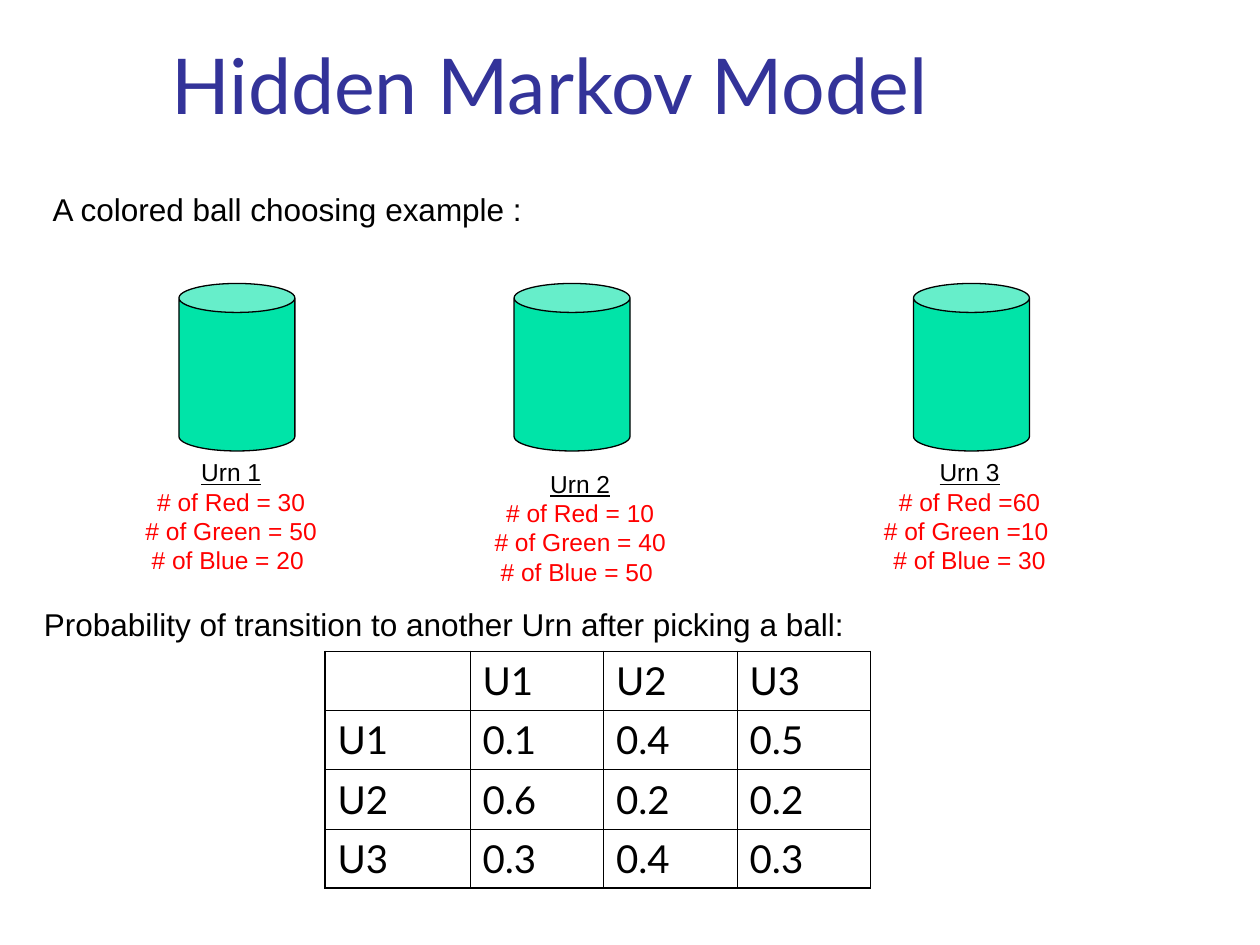
from lxml import etree
from pptx import Presentation
from pptx.dml.color import RGBColor
from pptx.enum.shapes import MSO_SHAPE
from pptx.enum.text import MSO_ANCHOR, MSO_AUTO_SIZE, PP_ALIGN
from pptx.oxml.ns import qn
from pptx.util import Inches, Pt

CAN = MSO_SHAPE.CAN
LEFT, MID = PP_ALIGN.LEFT, PP_ALIGN.CENTER
BOTTOM = MSO_ANCHOR.BOTTOM
NO_FIT, GROW = MSO_AUTO_SIZE.NONE, MSO_AUTO_SIZE.SHAPE_TO_FIT_TEXT

BLACK = RGBColor(0, 0, 0)
RED = RGBColor(255, 0, 0)
GREEN = RGBColor(0, 0xE4, 0xA8)
NAVY = RGBColor(0x33, 0x33, 0x99)

HEAD = {"name": "Lato", "size": Pt(44)}
BODY = {"name": "Arial", "size": Pt(18)}
NOTE = {"name": "Arial", "size": Pt(14)}
GRID = {"name": "Lato", "size": Pt(22)}


def apply(item, values):
    """Set each named value on the item."""
    for name, value in values.items():
        setattr(item, name, value)


def box(*sizes):
    """Turn inch numbers into lengths."""
    return [Inches(size) for size in sizes]


class Deck:
    """Holds the style and the current slide."""

    def __init__(self):
        """Start a deck with one titled slide."""
        self.show = Presentation()
        self.show.slide_width, self.show.slide_height = box(10, 7.5)
        self.slide = self.show.slides.add_slide(self.show.slide_layouts[5])
        self.thin, self.thick = Pt(0.45), Pt(1.08)

    def put(self, para, text, style, color=BLACK, align=LEFT):
        """Put one styled run into a paragraph."""
        para.alignment = align
        run = para.add_run()
        run.text = text
        apply(run.font, style)
        run.font.color.rgb = color

    def title(self, text, place):
        """Fill and move the title placeholder."""
        head = self.slide.shapes.title
        sides = ("left", "top", "width", "height")
        apply(head, dict(zip(sides, box(*place))))
        apply(head.text_frame, {"vertical_anchor": BOTTOM, "auto_size": NO_FIT})
        self.put(head.text_frame.paragraphs[0], text, HEAD, NAVY)

    def text(self, place):
        """Add an unwrapped text box and return its frame."""
        frame = self.slide.shapes.add_textbox(*box(*place)).text_frame
        apply(frame, {"word_wrap": False, "auto_size": GROW})
        return frame

    def line(self, text, place):
        """Add one line of body text."""
        self.put(self.text(place).paragraphs[0], text, BODY)

    def urn(self, left):
        """Draw one urn."""
        can = self.slide.shapes.add_shape(CAN, *box(left, 2.25, 0.92, 1.33))
        can.shadow.inherit = False
        can.fill.solid()
        can.fill.fore_color.rgb = GREEN
        can.line.color.rgb = BLACK
        can.line.width = Pt(0.74)

    def label(self, name, counts, left, top):
        """Set an urn's name above its ball counts."""
        frame = self.text((left, top, 1.61, 1.04))
        self.put(frame.paragraphs[0], name,
                 NOTE | {"underline": True}, align=MID)
        for count in counts:
            self.put(frame.add_paragraph(), count, NOTE, RED, MID)

    def edge(self, cell, sides):
        """Draw the borders of a cell, thick on the outer sides."""
        props = cell._tc.get_or_add_tcPr()
        for spot, (side, outer) in enumerate(sides.items()):
            line = etree.Element(qn("a:ln" + side))
            line.set("w", str(int(self.thick if outer else self.thin)))
            fill = etree.SubElement(line, qn("a:solidFill"))
            etree.SubElement(fill, qn("a:srgbClr")).set("val", str(BLACK))
            props.insert(spot, line)

    def table(self, rows, left, top, widths, height):
        """Add a plain ruled table."""
        tall, wide = len(rows), len(widths)
        table = self.slide.shapes.add_table(
            tall, wide, *box(left, top, sum(widths), height * tall)).table
        apply(table, {"first_row": False, "horz_banding": False})
        for col, width in zip(table.columns, widths):
            col.width = Inches(width)
        for r, row in enumerate(rows):
            table.rows[r].height = Inches(height)
            for c, text in enumerate(row):
                cell = table.cell(r, c)
                cell.fill.background()
                self.edge(cell, {"L": c == 0, "R": c == wide - 1,
                                 "T": r == 0, "B": r == tall - 1})
                if text:
                    para = cell.text_frame.paragraphs[0]
                    para.space_before = Pt(5.5)
                    self.put(para, text, GRID)


URNS = [
    ("Urn 1", ("# of Red = 30", "# of Green = 50 ", "# of Blue = 20 "),
     1.42, 1.03, 3.58),
    ("Urn 2", ("# of Red = 10", "# of Green = 40 ", "# of Blue = 50 "),
     4.08, 3.8, 3.67),
    ("Urn 3", ("# of Red =60", "# of Green =10 ", "# of Blue = 30"),
     7.25, 6.89, 3.58),
]
ODDS = [
    ("", "U1", "U2", "U3"),
    ("U1", "0.1", "0.4", "0.5"),
    ("U2", "0.6", "0.2", "0.2"),
    ("U3", "0.3", "0.4", "0.3"),
]

deck = Deck()
deck.title("Hidden Markov Model", (1.26, 0.23, 8.52, 0.85))
deck.line("A colored ball choosing example :", (0.32, 1.46, 3.94, 0.4))
for name, counts, can_left, left, top in URNS:
    deck.urn(can_left)
    deck.label(name, counts, left, top)
deck.table(ODDS, 2.58, 5.17, (1.15, 1.06, 1.06, 1.06), 0.47)
deck.line("Probability of transition to another Urn after picking a ball:",
          (0.25, 4.75, 6.55, 0.4))
deck.show.save("out.pptx")
